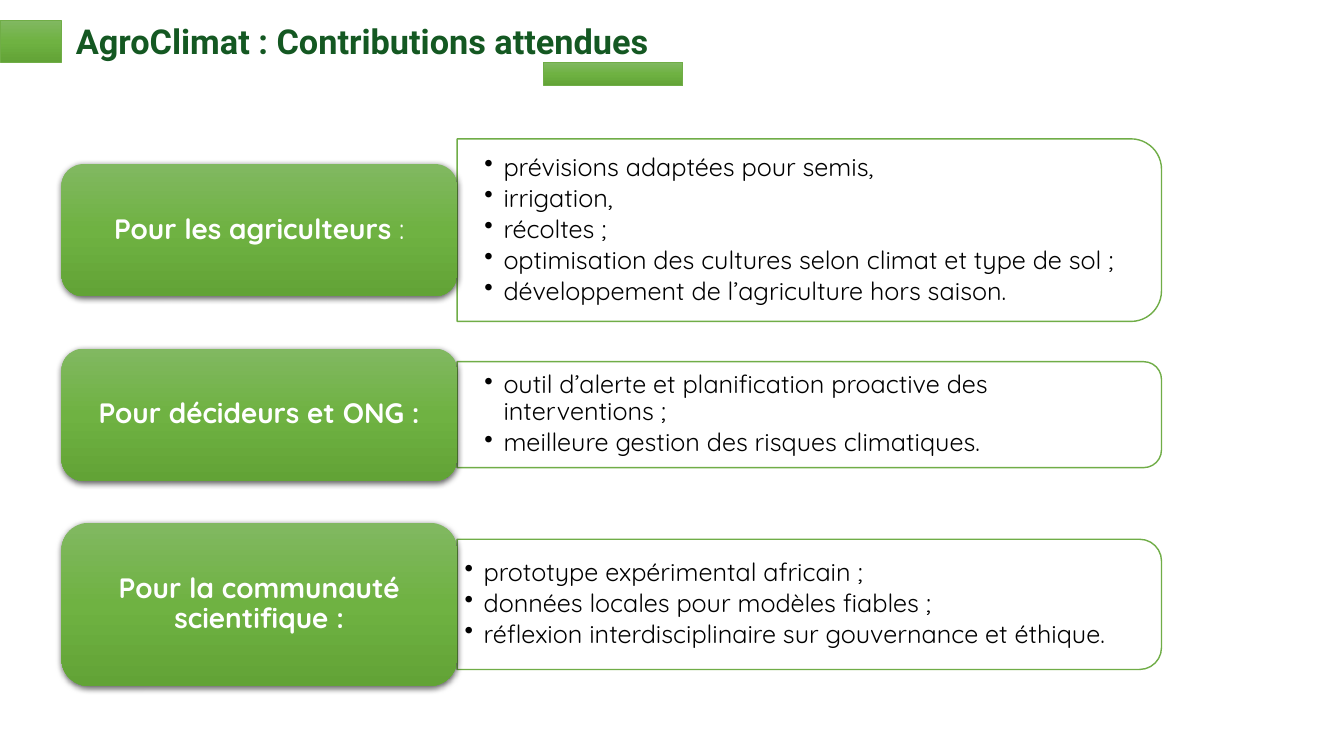
from copy import deepcopy

from lxml import etree
from pptx import Presentation
from pptx.dml.color import RGBColor
from pptx.enum.shapes import MSO_SHAPE
from pptx.enum.text import MSO_ANCHOR, PP_ALIGN
from pptx.oxml.ns import qn
from pptx.util import Cm, Pt

RECTANGLE = MSO_SHAPE.RECTANGLE
ROUNDED = MSO_SHAPE.ROUNDED_RECTANGLE
ROUNDED_TOP = MSO_SHAPE.ROUND_2_SAME_RECTANGLE
MIDDLE = MSO_ANCHOR.MIDDLE
CENTER = PP_ALIGN.CENTER

TITLE_GREEN = RGBColor(0x14, 0x58, 0x22)
LINE_GREEN = RGBColor(0x70, 0xAD, 0x47)
WHITE = RGBColor(0xFF, 0xFF, 0xFF)
BLACK = RGBColor(0, 0, 0)
GREEN_STOPS = [
    (0, RGBColor(0x81, 0xB8, 0x61)),
    (0.5, RGBColor(0x6F, 0xB2, 0x42)),
    (1, RGBColor(0x62, 0xA3, 0x36)),
]

LABEL_LEFT, LABEL_WIDTH = Cm(1.55), Cm(9.97)
PANEL_LEFT, PANEL_WIDTH = Cm(11.52), Cm(17.75)
BULLET_INDENT = Cm(0.48)

CONTRIBUTIONS = [
    {
        "middle": Cm(5.8), "label_height": Cm(3.33), "panel_height": Cm(4.6),
        "inset": Cm(0.69),
        "label": [("Pour les agriculteurs", True), (" :", False)],
        "points": [
            "prévisions adaptées pour semis,",
            "irrigation,",
            "récoltes ;",
            "optimisation des cultures selon climat et type de sol ;",
            "développement de l’agriculture hors saison.",
        ],
    },
    {
        "middle": Cm(10.45), "label_height": Cm(3.33), "panel_height": Cm(2.67),
        "inset": Cm(0.69),
        "label": [("Pour décideurs et ONG :", True)],
        "points": [
            "outil d’alerte et planification proactive des interventions ;",
            "meilleure gestion des risques climatiques.",
        ],
    },
    {
        "middle": Cm(15.23), "label_height": Cm(4.11), "panel_height": Cm(3.28),
        "inset": Cm(0.19),
        "label": [("Pour la communauté scientifique :", True)],
        "points": [
            "prototype expérimental africain ;",
            "données locales pour modèles fiables ;",
            "réflexion interdisciplinaire sur gouvernance et éthique.",
        ],
    },
]


def set_font(paragraph, name, size, color, bold=False):
    font = paragraph.font
    font.name, font.size, font.bold = name, Pt(size), bold
    font.color.rgb = color


def set_insets(frame, horizontal, vertical):
    frame.margin_left = frame.margin_right = horizontal
    frame.margin_top = frame.margin_bottom = vertical


def fill_green(shape):
    fill = shape.fill
    fill.gradient()
    fill.gradient_angle = 270
    stop_list = shape._element.spPr.find(".//" + qn("a:gsLst"))
    stop_list.append(deepcopy(stop_list[-1]))
    for stop, (position, color) in zip(fill.gradient_stops, GREEN_STOPS):
        stop.position = position
        stop.color.rgb = color


def add_soft_shadow(shape):
    effects = shape._element.spPr.find(qn("a:effectLst"))
    shadow = etree.SubElement(
        effects, qn("a:outerShdw"), blurRad=str(Pt(4.5)), dist=str(Pt(1.5)),
        dir="5400000", algn="ctr", rotWithShape="0")
    black = etree.SubElement(shadow, qn("a:srgbClr"), val=str(BLACK))
    etree.SubElement(black, qn("a:alpha"), val="63000")


def add_bullet(paragraph):
    properties = paragraph._p.get_or_add_pPr()
    properties.set("marL", str(BULLET_INDENT))
    properties.set("indent", str(-BULLET_INDENT))
    etree.SubElement(properties, qn("a:buChar"), char="•")


def add_header_bar(slide, left, top, width, height):
    bar = slide.shapes.add_shape(RECTANGLE, left, top, width, height)
    bar.shadow.inherit = False
    fill_green(bar)
    bar.line.color.rgb = LINE_GREEN
    bar.line.width = Pt(0.5)


def add_header(slide, left, top, width, height):
    title = slide.shapes.add_textbox(left + Cm(1.91), top, width - Cm(1.91), height)
    frame = title.text_frame
    frame.word_wrap = False
    set_insets(frame, 0, 0)
    frame.text = "AgroClimat : Contributions attendues"
    set_font(frame.paragraphs[0], "Roboto", 24.5, TITLE_GREEN, True)
    add_header_bar(slide, left + Cm(13.7), top + height, Cm(3.51), Cm(0.59))
    add_header_bar(slide, left, top, Cm(1.56), height)


def add_panel(slide, left, top, width, height, points, inset):
    outline = slide.shapes.add_shape(
        ROUNDED_TOP, left + (width - height) // 2, top + (height - width) // 2,
        height, width)
    outline.rotation = 90
    outline.shadow.inherit = False
    outline.fill.solid()
    outline.fill.fore_color.rgb = WHITE
    outline.line.color.rgb = LINE_GREEN
    outline.line.width = Pt(1)

    frame = slide.shapes.add_textbox(left, top, width, height).text_frame
    frame.word_wrap = True
    frame.vertical_anchor = MIDDLE
    set_insets(frame, inset, Cm(0.1))
    for index, point in enumerate(points):
        paragraph = frame.add_paragraph() if index else frame.paragraphs[0]
        paragraph.text = point
        paragraph.line_spacing = 0.9
        paragraph.space_after = Pt(2.7)
        add_bullet(paragraph)
        set_font(paragraph, "Quicksand", 18, BLACK)


def add_label(slide, left, top, width, height, parts):
    label = slide.shapes.add_shape(ROUNDED, left, top, width, height)
    label.shadow.inherit = False
    fill_green(label)
    label.line.fill.background()
    add_soft_shadow(label)
    frame = label.text_frame
    frame.word_wrap = True
    frame.vertical_anchor = MIDDLE
    set_insets(frame, Cm(0.2), Cm(0.1))
    paragraph = frame.paragraphs[0]
    paragraph.alignment = CENTER
    paragraph.line_spacing = 0.9
    set_font(paragraph, "Quicksand", 20, WHITE, True)
    for text, bold in parts:
        run = paragraph.add_run()
        run.text = text
        run.font.bold = bold


def add_contribution(slide, row):
    panel_top = row["middle"] - row["panel_height"] // 2
    label_top = row["middle"] - row["label_height"] // 2
    add_panel(slide, PANEL_LEFT, panel_top, PANEL_WIDTH, row["panel_height"],
              row["points"], row["inset"])
    add_label(slide, LABEL_LEFT, label_top, LABEL_WIDTH, row["label_height"],
              row["label"])


def main():
    presentation = Presentation()
    presentation.slide_width, presentation.slide_height = Cm(33.87), Cm(19.05)
    slide = presentation.slides.add_slide(presentation.slide_layouts[6])
    add_header(slide, 0, Cm(0.52), Cm(17.48), Cm(1.05))
    for row in CONTRIBUTIONS:
        add_contribution(slide, row)
    presentation.save("out.pptx")


if __name__ == "__main__":
    main()
